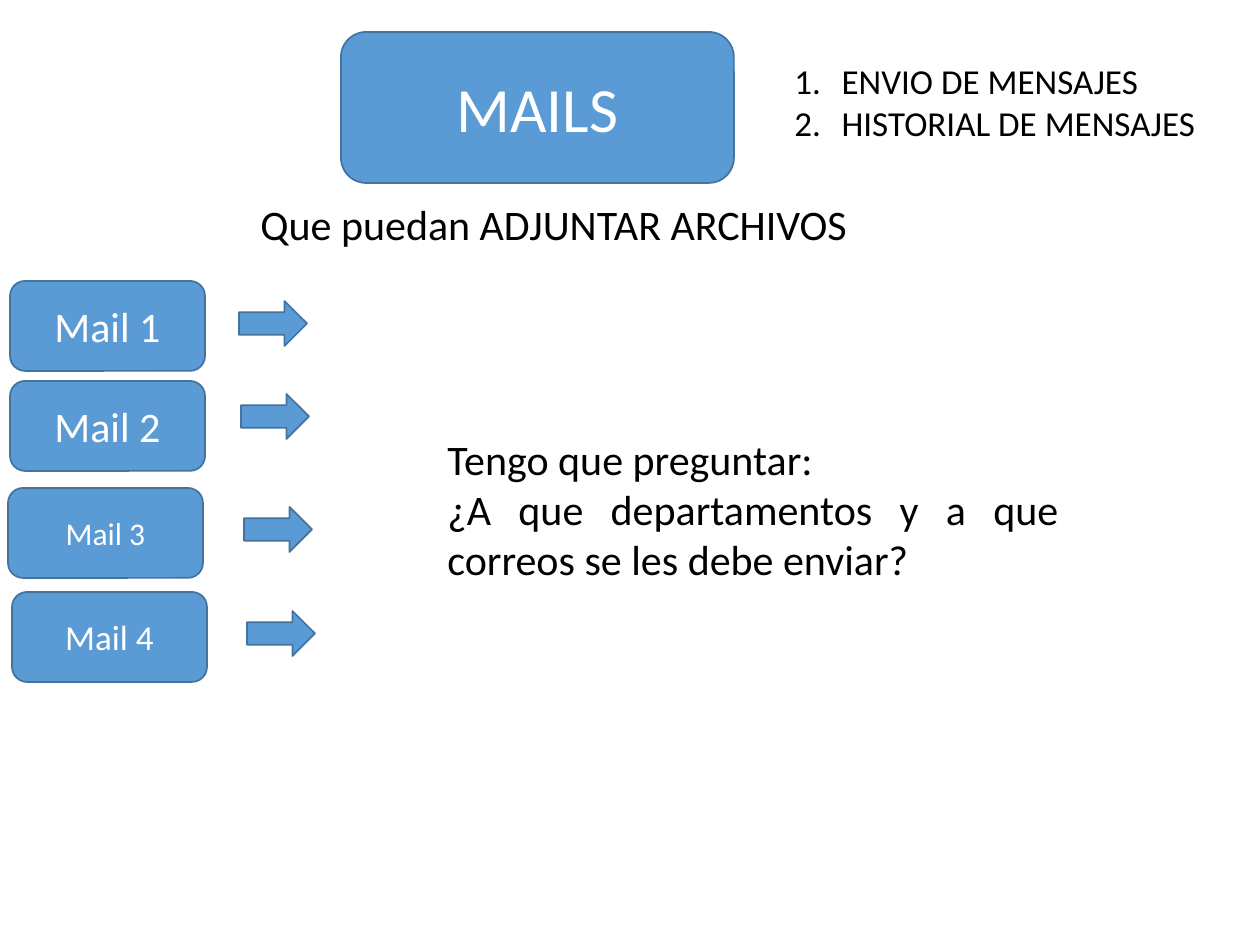
from pptx import Presentation
from pptx import util as u
from pptx.dml.color import RGBColor
from pptx.enum import shapes, text
from pptx.oxml.ns import qn
from lxml import etree

SCALE = 914400 // 126
KIND = shapes.MSO_SHAPE
ALIGN = text.PP_ALIGN


def color(code):
    return RGBColor.from_string(code)


class Deck:
    font = "Calibri"
    blue = "5B9BD5"
    edge = "43739E"
    white = "FFFFFF"
    black = "000000"

    def __init__(self):
        self.prs = Presentation()
        self.prs.slide_width = u.Inches(10)
        self.prs.slide_height = u.Inches(7.5)
        self.slide = self.prs.slides.add_slide(self.prs.slide_layouts[6])

    def place(self, *box):
        return [u.Emu(n * SCALE) for n in box]

    def label(self, frame, lines, size, ink, align):
        frame.text = "\n".join(lines)
        for par in frame.paragraphs:
            par.alignment = align
            par.font.name = self.font
            par.font.size = u.Pt(size)
            par.font.color.rgb = color(ink)

    def shape(self, kind, box):
        item = self.slide.shapes.add_shape(kind, *self.place(*box))
        item.shadow.inherit = False
        item.fill.solid()
        item.fill.fore_color.rgb = color(self.blue)
        item.line.color.rgb = color(self.edge)
        item.line.width = u.Pt(1)
        return item

    def button(self, words, box, size):
        frame = self.shape(KIND.ROUNDED_RECTANGLE, box).text_frame
        frame.vertical_anchor = text.MSO_ANCHOR.MIDDLE
        self.label(frame, [words], size, self.white, ALIGN.CENTER)

    def arrow(self, box):
        self.shape(KIND.RIGHT_ARROW, box)

    def note(self, lines, box, size, align=ALIGN.JUSTIFY, wrap=True):
        item = self.slide.shapes.add_textbox(*self.place(*box))
        frame = item.text_frame
        frame.word_wrap = wrap
        frame.auto_size = text.MSO_AUTO_SIZE.SHAPE_TO_FIT_TEXT
        self.label(frame, lines, size, self.black, align)
        return frame

    def steps(self, lines, box, size):
        frame = self.note(lines, box, size, ALIGN.LEFT, False)
        indent = u.Pt(27)
        for par in frame.paragraphs:
            props = par._p.get_or_add_pPr()
            props.set("marL", str(indent))
            props.set("indent", str(-indent))
            mark = etree.Element(qn("a:buAutoNum"), type="arabicPeriod")
            props.insert_element_before(mark, "a:tabLst", "a:defRPr", "a:extLst")


deck = Deck()
deck.button("MAILS", (341, 32, 393, 151), 36)

mails = [
    (10, 281, 24, 239, 301),
    (10, 381, 24, 241, 394),
    (8, 488, 18, 244, 507),
    (12, 592, 20, 247, 611),
]
for num, (left, top, size, tail, high) in enumerate(mails, 1):
    deck.button(f"Mail {num}", (left, top, 195, 90), size)
    deck.arrow((tail, high, 68, 45))

deck.note(["Que puedan ADJUNTAR ARCHIVOS"], (248, 192, 636, 63), 24)
deck.steps(["ENVIO DE MENSAJES", "HISTORIAL DE MENSAJES"], (782, 53, 430, 97), 20)
deck.note(
    ["Tengo que preguntar:",
     "¿A que departamentos y a que correos se les debe enviar?"],
    (435, 427, 636, 165), 24)

deck.prs.save("out.pptx")
